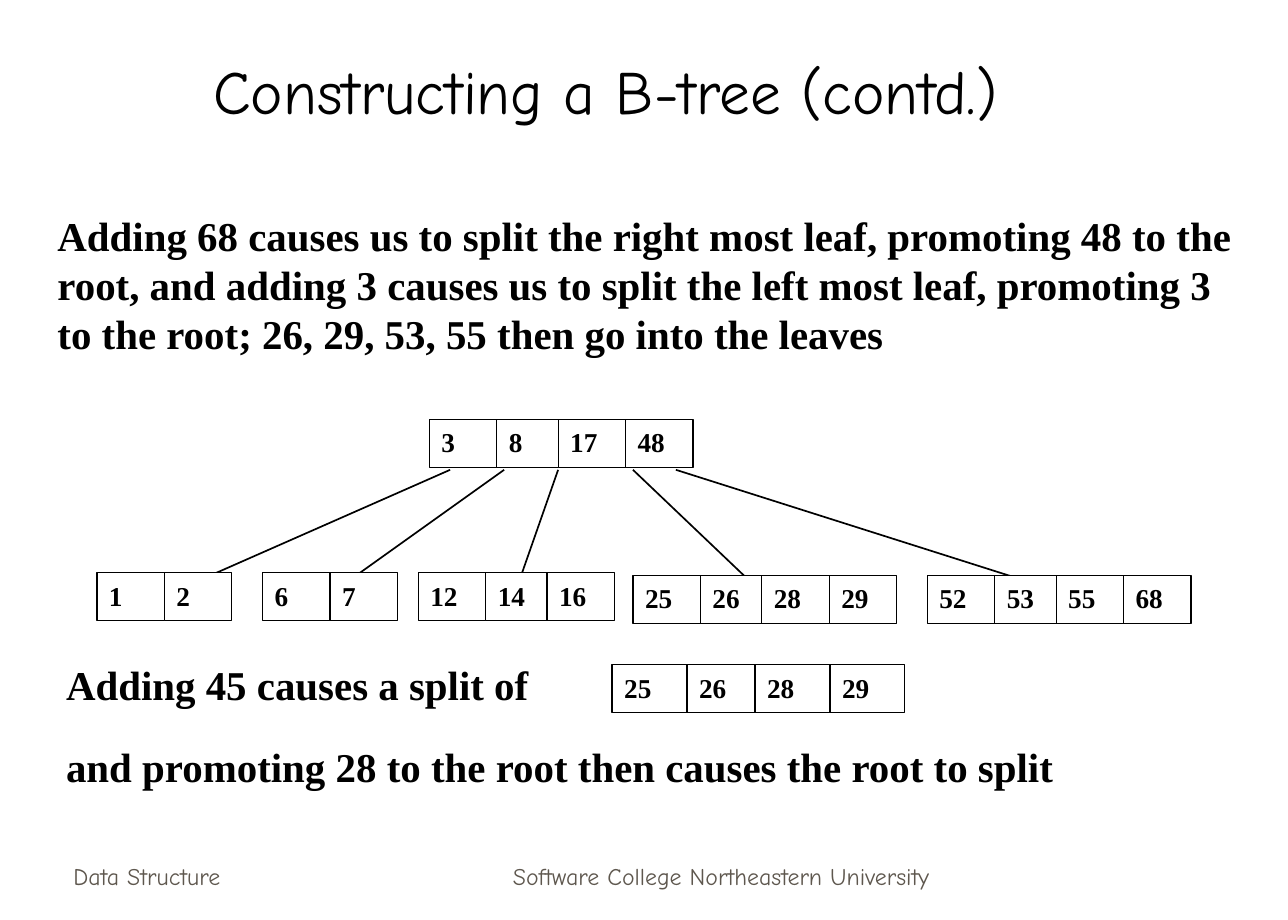
from dataclasses import dataclass

from lxml import etree
from pptx import Presentation
from pptx import util as u
from pptx.dml import color
from pptx.enum import shapes, text
from pptx.oxml import ns

BLACK, WHITE, GREY = "000000", "FFFFFF", "5E574E"
COMIC, TIMES = "Comic Neue", "Times New Roman"
STEPS = (0, 0.55, 1.05, 1.6)
CELL_W, CELL_H = 0.55, 0.39
EDGE_TOP, EDGE_END = 3.83, 4.83


@dataclass
class Label:
    words: str
    left: float
    top: float
    width: float
    height: float
    size: int = 24
    font: str = TIMES
    tint: str = BLACK
    bold: bool = True
    low: bool = False
    mid: bool = False


@dataclass
class Node:
    left: float
    top: float
    keys: tuple[int, ...]
    scale: float = 1


@dataclass
class Edge:
    start: float
    end: float


LABELS = [
    Label("Data Structure", 0.5, 6.81, 2.19, 0.5, 14, COMIC, GREY, False, True),
    Label("Software College Northeastern University", 3.59, 6.81, 4.58, 0.5,
          14, COMIC, GREY, False, True, True),
    Label("Constructing a B-tree (contd.)", 0.47, 0.25, 8.93, 0.83,
          36, COMIC, BLACK, False, True, True),
    Label("Adding 68 causes us to split the right most leaf, promoting 48 to "
          "the root, and adding 3 causes us to split the left most leaf, "
          "promoting 3 to the root; 26, 29, 53, 55 then go into the leaves",
          0.37, 1.67, 9.8, 1.3),
    Label("Adding 45 causes a split of", 0.44, 5.33, 4.5, 0.5),
    Label("and promoting 28 to the root then causes the root to split",
          0.44, 6, 10.06, 0.5),
]
EDGES = [Edge(3.67, 1.4), Edge(4.11, 2.71), Edge(4.55, 4.2),
         Edge(5.16, 6.21), Edge(5.51, 8.66)]
NODES = [
    Node(3.5, 3.42, (3, 8, 17, 48)),
    Node(7.56, 4.69, (52, 53, 55, 68)),
    Node(5.16, 4.69, (25, 26, 28, 29)),
    Node(0.79, 4.67, (1, 2)),
    Node(2.14, 4.67, (6, 7)),
    Node(3.41, 4.67, (12, 14, 16)),
    Node(4.99, 5.42, (25, 26, 28, 29), 1.11),
]


def shade(code: str) -> color.RGBColor:
    return color.RGBColor.from_string(code)


def write(frame, words: str, size: int, font: str, tint: str, bold: bool,
          low: bool = False, mid: bool = False) -> None:
    frame.word_wrap = True
    frame.vertical_anchor = (text.MSO_ANCHOR.BOTTOM if low
                             else text.MSO_ANCHOR.TOP)
    para = frame.paragraphs[0]
    para.alignment = text.PP_ALIGN.CENTER if mid else text.PP_ALIGN.LEFT
    run = para.add_run()
    run.text = words
    run.font.size = u.Pt(size)
    run.font.name = font
    run.font.bold = bold
    run.font.color.rgb = shade(tint)


def draw_label(slide, label: Label) -> None:
    box = slide.shapes.add_textbox(
        u.Inches(label.left), u.Inches(label.top),
        u.Inches(label.width), u.Inches(label.height))
    write(box.text_frame, label.words, label.size, label.font, label.tint,
          label.bold, label.low, label.mid)


def draw_edge(slide, edge: Edge) -> None:
    line = slide.shapes.add_connector(
        shapes.MSO_CONNECTOR.STRAIGHT, u.Inches(edge.start),
        u.Inches(EDGE_TOP), u.Inches(edge.end), u.Inches(EDGE_END))
    line.line.color.rgb = shade(BLACK)
    line.line.width = u.Pt(1)
    etree.SubElement(line._element.spPr, ns.qn("a:effectLst"))


def draw_node(slide, node: Node) -> None:
    """Draw one cell for each key of a tree node."""
    for key, step in zip(node.keys, STEPS):
        cell = slide.shapes.add_shape(
            shapes.MSO_SHAPE.RECTANGLE,
            u.Inches(node.left + step * node.scale), u.Inches(node.top),
            u.Inches(CELL_W * node.scale), u.Inches(CELL_H))
        cell.shadow.inherit = False
        cell.fill.solid()
        cell.fill.fore_color.rgb = shade(WHITE)
        cell.line.color.rgb = shade(BLACK)
        cell.line.width = u.Pt(0.75)
        write(cell.text_frame, str(key), 16, TIMES, BLACK, True)


def main() -> None:
    deck = Presentation()
    deck.slide_width, deck.slide_height = u.Inches(10.5), u.Inches(7.5)
    slide = deck.slides.add_slide(deck.slide_layouts[6])
    for edge in EDGES:
        draw_edge(slide, edge)
    for label in LABELS:
        draw_label(slide, label)
    for node in NODES:
        draw_node(slide, node)
    deck.save("out.pptx")


if __name__ == "__main__":
    main()
